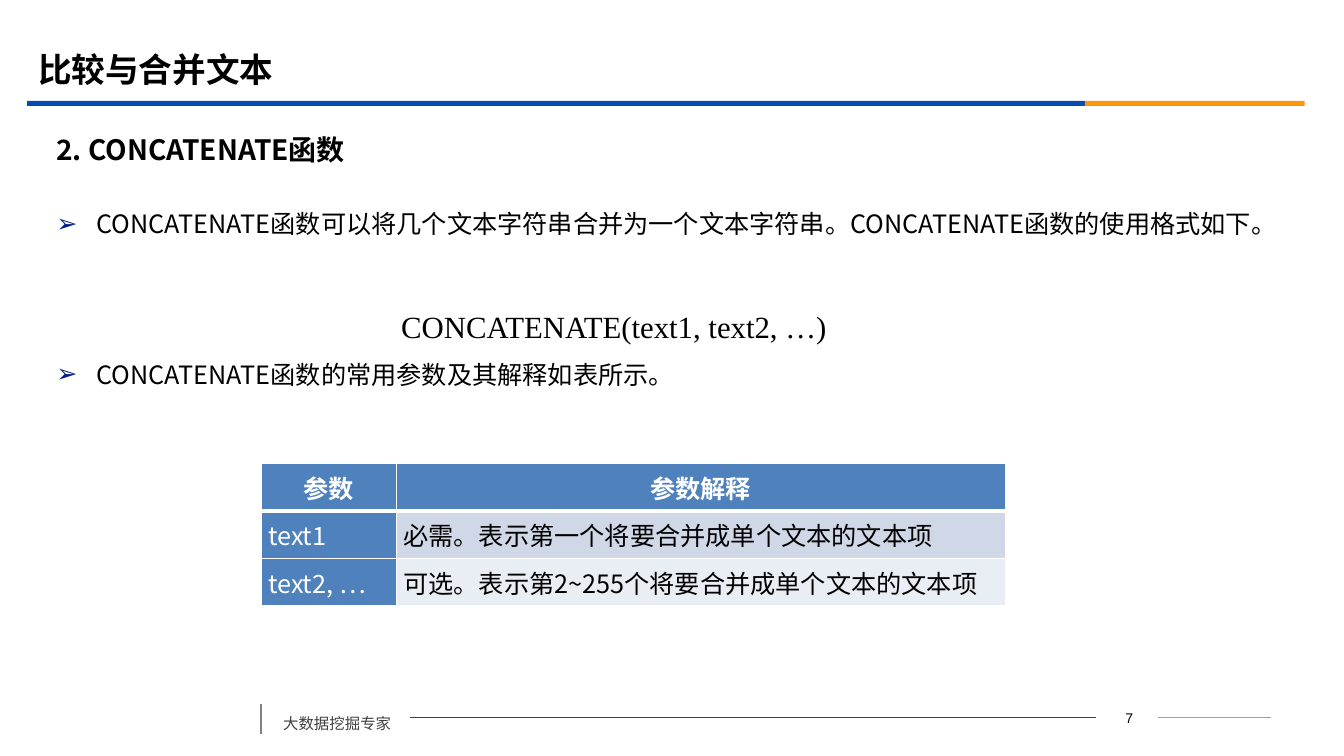
from lxml import etree
from pptx import Presentation
from pptx.dml.color import RGBColor
from pptx.enum.shapes import MSO_CONNECTOR, MSO_SHAPE
from pptx.enum.text import MSO_ANCHOR, PP_ALIGN
from pptx.oxml.ns import qn
from pptx.util import Inches, Pt

STRAIGHT = MSO_CONNECTOR.STRAIGHT
RECTANGLE = MSO_SHAPE.RECTANGLE
TOP, MIDDLE = MSO_ANCHOR.TOP, MSO_ANCHOR.MIDDLE
LEFT, CENTER, JUSTIFY = PP_ALIGN.LEFT, PP_ALIGN.CENTER, PP_ALIGN.JUSTIFY
SANS, SERIF, ARIAL = "Noto Sans CJK SC", "Times New Roman", "Arial"
PARAMETERS = [
    ("参数", "参数解释"),
    ("text1", "必需。表示第一个将要合并成单个文本的文本项"),
    ("text2, …", "可选。表示第2~255个将要合并成单个文本的文本项"),
]
ROW_FILLS = [("4F81BD", "4F81BD"), ("4F81BD", "D0D8E8"), ("4F81BD", "E9EDF4")]


def color(value):
    return RGBColor.from_string(value)


def format_paragraph(paragraph, size, font=SANS, fill="000000", bold=False, align=LEFT):
    paragraph.alignment = align
    for run in paragraph.runs:
        run.font.size = Pt(size)
        run.font.name = font
        run.font.bold = bold
        run.font.color.rgb = color(fill)
        east_asian = etree.SubElement(run.font._element, qn("a:ea"))
        east_asian.set("typeface", SANS)


def add_text(slide, box, text, size, anchor=TOP, **style):
    shape = slide.shapes.add_textbox(*map(Inches, box))
    frame = shape.text_frame
    frame.word_wrap = True
    frame.vertical_anchor = anchor
    frame.text = text
    for paragraph in frame.paragraphs:
        format_paragraph(paragraph, size, **style)
    return frame


def add_bar(slide, box, fill):
    shape = slide.shapes.add_shape(RECTANGLE, *map(Inches, box))
    shape.shadow.inherit = False
    shape.fill.solid()
    shape.fill.fore_color.rgb = color(fill)
    shape.line.fill.background()


def add_line(slide, start, end, fill, width):
    line = slide.shapes.add_connector(STRAIGHT, *map(Inches, start + end))
    line.line.color.rgb = color(fill)
    line.line.width = Pt(width)
    etree.SubElement(line._element.spPr, qn("a:effectLst"))


def set_indent(paragraph, margin, first_line=0):
    properties = paragraph._p.get_or_add_pPr()
    properties.set("marL", str(Inches(margin)))
    properties.set("indent", str(Inches(first_line)))
    return properties


def add_bullet(paragraph):
    properties = set_indent(paragraph, 0.4, -0.4)
    bullet_color = etree.SubElement(properties, qn("a:buClr"))
    etree.SubElement(bullet_color, qn("a:srgbClr")).set("val", "032089")
    etree.SubElement(properties, qn("a:buFont")).set("typeface", ARIAL)
    etree.SubElement(properties, qn("a:buChar")).set("char", "➢")


def add_header(slide, left, top, width):
    add_text(slide, (left + 0.01, top, 12, 0.58), "比较与合并文本", 24, MIDDLE, font=SERIF, bold=True)
    blue_width = 10.49
    add_bar(slide, (left, top + 0.61, blue_width, 0.05), "064BB2")
    add_bar(slide, (left + blue_width, top + 0.61, width - blue_width, 0.05), "FB9708")


def add_body(slide, left, top, width):
    add_text(slide, (left, top, width, 0.47), "2. CONCATENATE函数", 20, MIDDLE, bold=True)
    bullets = add_text(
        slide, (left, top + 0.62, width, 4.75),
        "CONCATENATE函数可以将几个文本字符串合并为一个文本字符串。CONCATENATE函数的使用格式如下。\n"
        "CONCATENATE函数的常用参数及其解释如表所示。", 18)
    for paragraph in bullets.paragraphs:
        add_bullet(paragraph)
        paragraph.line_spacing = 1.5
    bullets.paragraphs[1].space_before = Pt(75)
    formula = add_text(slide, (left + 3.03, top + 1.75, 5.58, 0.47),
                       "CONCATENATE(text1, text2, …)", 22, font=SERIF)
    set_indent(formula.paragraphs[0], 0.39)


def set_borders(cell, bottom_width):
    properties = cell._tc.get_or_add_tcPr()
    widths = {"a:lnL": 1, "a:lnR": 1, "a:lnT": 1, "a:lnB": bottom_width}
    for position, (tag, width) in enumerate(widths.items()):
        border = etree.Element(qn(tag), w=str(Pt(width)))
        fill = etree.SubElement(border, qn("a:solidFill"))
        etree.SubElement(fill, qn("a:srgbClr")).set("val", "FFFFFF")
        properties.insert(position, border)


def add_parameter_table(slide, left, top, width, height):
    frame = slide.shapes.add_table(len(PARAMETERS), 2, *map(Inches, (left, top, width, height)))
    table = frame.table
    table.columns[0].width = Inches(1.34)
    table.columns[1].width = Inches(width - 1.34)
    for row, texts in enumerate(PARAMETERS):
        header = row == 0
        for column, text in enumerate(texts):
            cell = table.cell(row, column)
            cell.margin_left = cell.margin_right = Inches(0.07)
            cell.margin_top = cell.margin_bottom = 0
            cell.vertical_anchor = MIDDLE
            cell.fill.solid()
            cell.fill.fore_color.rgb = color(ROW_FILLS[row][column])
            set_borders(cell, 3 if header else 1)
            cell.text_frame.text = text
            format_paragraph(
                cell.text_frame.paragraphs[0], 18, bold=header,
                fill="FFFFFF" if header or column == 0 else "000000",
                align=CENTER if header else JUSTIFY)


def add_footer(slide, left, top):
    middle = top + 0.14
    add_line(slide, (left, top), (left, top + 0.3), "808080", 1.25)
    label = add_text(slide, (left + 0.12, top - 0.04, 1.36, 0.38), "大数据挖掘专家", 11, fill="404040")
    label.paragraphs[0].line_spacing = 1.5
    add_line(slide, (left + 1.48, middle), (left + 8.28, middle), "404040", 0.75)
    add_text(slide, (left + 8.3, top + 0.01, 0.62, 0.25), "7", 10, font=ARIAL, align=CENTER)
    add_line(slide, (left + 8.9, middle), (left + 10.02, middle), "A0A0A0", 0.75)


def main():
    presentation = Presentation()
    presentation.slide_width = Inches(13.33)
    presentation.slide_height = Inches(7.5)
    slide = presentation.slides.add_slide(presentation.slide_layouts[6])
    add_header(slide, 0.27, 0.39, 12.67)
    add_body(slide, 0.46, 1.25, 12.15)
    add_parameter_table(slide, 2.59, 4.6, 7.38, 1.41)
    add_footer(slide, 2.59, 6.98)
    presentation.save("out.pptx")


if __name__ == "__main__":
    main()
